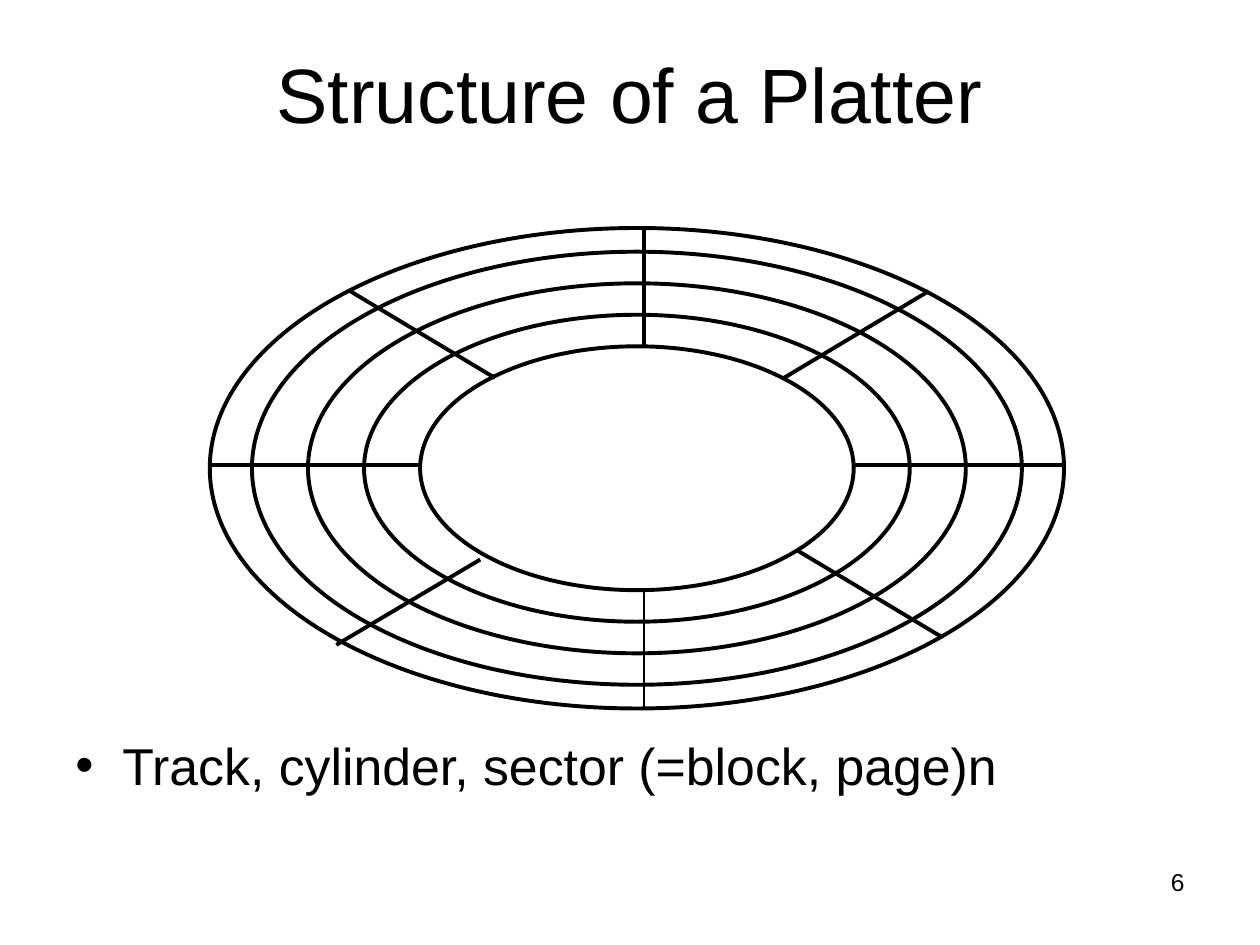
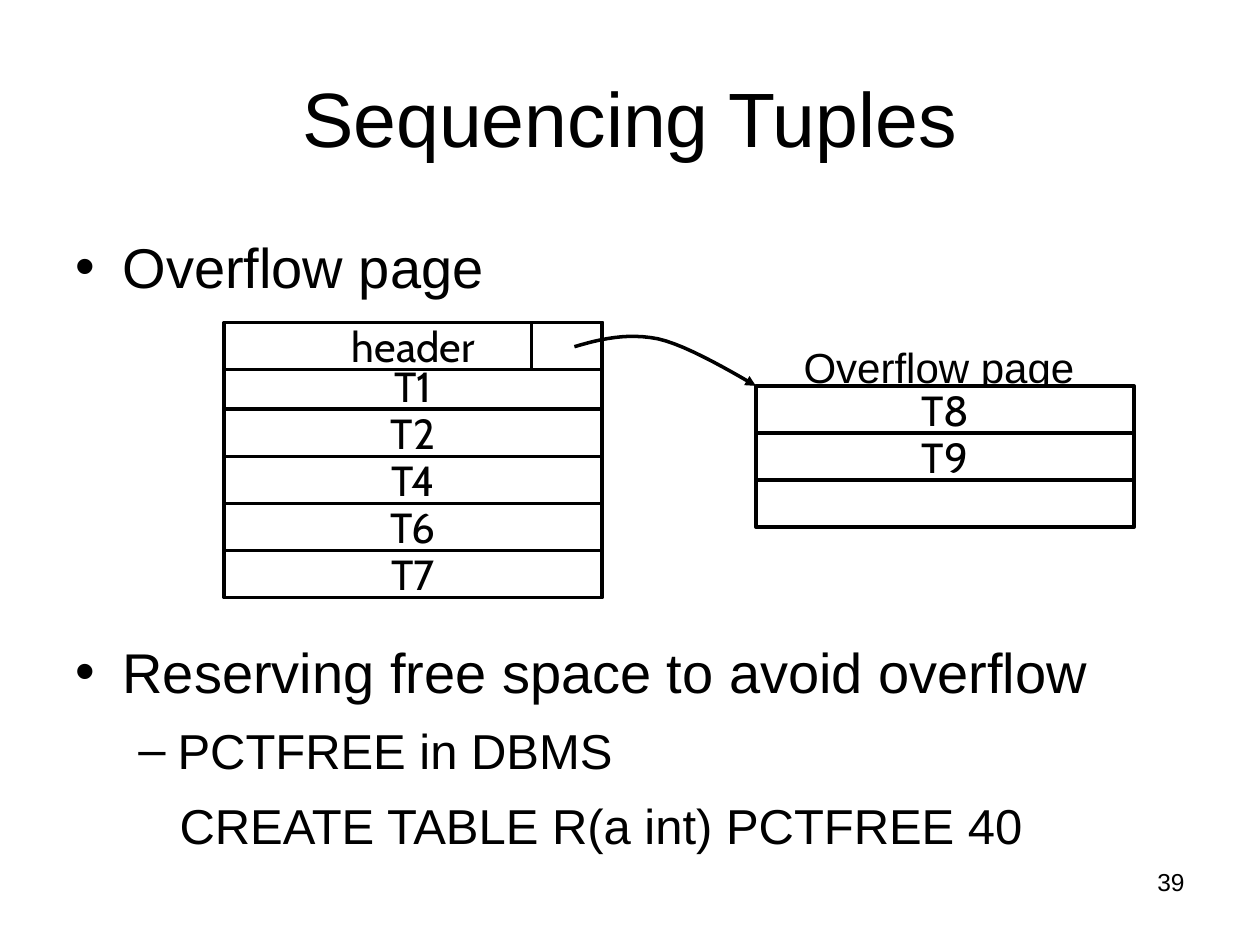
"""Build two database storage slides: a disk platter and overflow pages."""
from dataclasses import dataclass

from lxml import etree
from pptx import Presentation
from pptx.dml.color import RGBColor
from pptx.enum.shapes import MSO_CONNECTOR, MSO_SHAPE
from pptx.enum.text import MSO_ANCHOR, PP_ALIGN
from pptx.oxml.ns import qn
from pptx.util import Cm, Pt

LEFT, CENTER, RIGHT = PP_ALIGN.LEFT, PP_ALIGN.CENTER, PP_ALIGN.RIGHT
MIDDLE = MSO_ANCHOR.MIDDLE
RECT, OVAL = MSO_SHAPE.RECTANGLE, MSO_SHAPE.OVAL
STRAIGHT = MSO_CONNECTOR.STRAIGHT


@dataclass(frozen=True)
class Theme:
    ink: RGBColor = RGBColor(0, 0, 0)
    paper: RGBColor = RGBColor(255, 255, 255)
    font: str = "Arial"
    cell_font: str = "Cabin"
    title: float = 44
    cell: float = 24
    number: float = 14
    thin: float = 0.75
    box_line: float = 2
    disk_line: float = 2.25


T = Theme()

PLATTER = {
    "title": "Structure of a Platter", "title_height": 2.2, "number": "6",
    "bullets": [(14.66, [("Track, cylinder, sector (=block, page)n", 29.6, "•", 0.95, -0.95)])],
}
TUPLES = {
    "title": "Sequencing Tuples", "title_height": 3.18, "number": "39",
    "bullets": [
        (4.57, [("Overflow page", 32, "•", 0.95, -0.95)]),
        (12.73, [
            ("Reserving free space to avoid overflow", 32, "•", 0.95, -0.95),
            ("PCTFREE in DBMS", 28, "–", 2.06, -0.79),
            ("CREATE TABLE R(a int) PCTFREE 40", 28, "", 2.1, 0),
        ]),
    ],
}

DISK_CENTER = (12.84, 9.44)
TRACK_WIDTHS = [17.22, 15.52, 13.26, 11, 8.74]
TRACK_RATIO = 9 / 16
SECTOR_LINES = [
    (12.98, 14.27, 12.98, 11.91, T.thin),
    (12.98, 6.99, 12.98, 4.6, T.disk_line),
    (21.44, 9.37, 17.22, 9.37, T.disk_line),
    (8.46, 9.37, 4.24, 9.37, T.disk_line),
    (18.72, 5.87, 15.8, 7.62, T.disk_line),
    (9.68, 11.28, 6.78, 13, T.disk_line),
    (16.08, 11.1, 19, 12.85, T.disk_line),
    (7.06, 5.87, 9.98, 7.62, T.disk_line),
]

ROW_WIDTH, ROW_HEIGHT = 7.62, 0.95
PAGE_STACKS = [
    (4.52, 7.3, ["T1", "T2", "T4", "T6", "T7"]),
    (4.52, 6.5, ["header"]),
    (15.24, 7.78, ["T8", "T9", ""]),
]
POINTER_CELL = (10.72, 6.5, 1.42, ROW_HEIGHT)
POINTER_CURVES = [
    [(11.58, 6.99), (12.12, 6.83), (12.65, 6.71), (13.26, 6.83)],
    [(13.26, 6.83), (13.87, 6.96), (14.96, 7.62), (15.24, 7.78)],
]
CURVE_STEPS = 12


def add_run(p, text, size, font=T.font):
    r = p.add_run()
    r.text = text
    r.font.size = Pt(size)
    r.font.name = font
    r.font.color.rgb = T.ink


def add_text(s, box, text, size, align=LEFT, wrap=True):
    tf = s.shapes.add_textbox(*map(Cm, box)).text_frame
    tf.word_wrap = wrap
    tf.paragraphs[0].alignment = align
    add_run(tf.paragraphs[0], text, size)


def add_bullets(s, top, items):
    tf = s.shapes.add_textbox(Cm(1.27), Cm(top), Cm(22.86), Cm(1.5 * len(items))).text_frame
    tf.word_wrap = True
    for i, (text, size, mark, margin, indent) in enumerate(items):
        p = tf.add_paragraph() if i else tf.paragraphs[0]
        pPr = p._p.get_or_add_pPr()
        pPr.set("marL", str(Cm(margin)))
        pPr.set("indent", str(Cm(indent)))
        if mark:
            etree.SubElement(pPr, qn("a:buFont")).set("typeface", T.font)
            etree.SubElement(pPr, qn("a:buChar")).set("char", mark)
        if i:
            p.space_before = Pt(9)
        add_run(p, text, size)


def add_outline(s, kind, box, width, text=""):
    sp = s.shapes.add_shape(kind, *map(Cm, box))
    sp.shadow.inherit = False
    sp.fill.solid()
    sp.fill.fore_color.rgb = T.paper
    sp.line.color.rgb = T.ink
    sp.line.width = Pt(width)
    if text:
        tf = sp.text_frame
        tf.word_wrap = False
        tf.vertical_anchor = MIDDLE
        tf.paragraphs[0].alignment = CENTER
        add_run(tf.paragraphs[0], text, T.cell, T.cell_font)


def add_line(s, x1, y1, x2, y2, width):
    line = s.shapes.add_connector(STRAIGHT, Cm(x1), Cm(y1), Cm(x2), Cm(y2))
    line.line.color.rgb = T.ink
    line.line.width = Pt(width)
    etree.SubElement(line._element.spPr, qn("a:effectLst"))


def bezier(points, t):
    weights = ((1 - t) ** 3, 3 * t * (1 - t) ** 2, 3 * t * t * (1 - t), t ** 3)
    return tuple(Cm(sum(w * v for w, v in zip(weights, axis))) for axis in zip(*points))


def add_pointer(s):
    points = [bezier(curve, i / CURVE_STEPS)
              for curve in POINTER_CURVES for i in range(1, CURVE_STEPS + 1)]
    builder = s.shapes.build_freeform(*bezier(POINTER_CURVES[0], 0))
    builder.add_line_segments(points, close=False)
    sp = builder.convert_to_shape()
    sp.shadow.inherit = False
    sp.fill.background()
    sp.line.color.rgb = T.ink
    sp.line.width = Pt(T.box_line)
    etree.SubElement(sp.line._get_or_add_ln(), qn("a:tailEnd")).set("type", "triangle")


def add_slide(prs, content):
    s = prs.slides.add_slide(prs.slide_layouts[5])
    title = s.shapes.title
    title.left, title.top, title.width, title.height = map(
        Cm, (1.27, 0.76, 22.86, content["title_height"]))
    tf = title.text_frame
    tf.vertical_anchor = MIDDLE
    tf.paragraphs[0].alignment = CENTER
    add_run(tf.paragraphs[0], content["title"], T.title)
    add_text(s, (18.2, 17.35, 5.93, 1.32), content["number"], T.number, RIGHT)
    for top, items in content["bullets"]:
        add_bullets(s, top, items)
    return s


def draw_platter(s):
    cx, cy = DISK_CENTER
    for w in TRACK_WIDTHS:
        h = w * TRACK_RATIO
        add_outline(s, OVAL, (cx - w / 2, cy - h / 2, w, h), T.disk_line)
    for line in SECTOR_LINES:
        add_line(s, *line)


def draw_pages(s):
    add_text(s, (15.95, 6.76, 5.97, 1.27), "Overflow page", T.cell, wrap=False)
    for left, top, rows in PAGE_STACKS:
        for i, text in enumerate(rows):
            box = (left, top + i * ROW_HEIGHT, ROW_WIDTH, ROW_HEIGHT)
            add_outline(s, RECT, box, T.box_line, text)
    add_outline(s, RECT, POINTER_CELL, T.box_line)
    add_pointer(s)


def main():
    prs = Presentation()
    prs.slide_width, prs.slide_height = Cm(25.4), Cm(19.05)
    draw_platter(add_slide(prs, PLATTER))
    draw_pages(add_slide(prs, TUPLES))
    prs.save("out.pptx")


if __name__ == "__main__":
    main()
